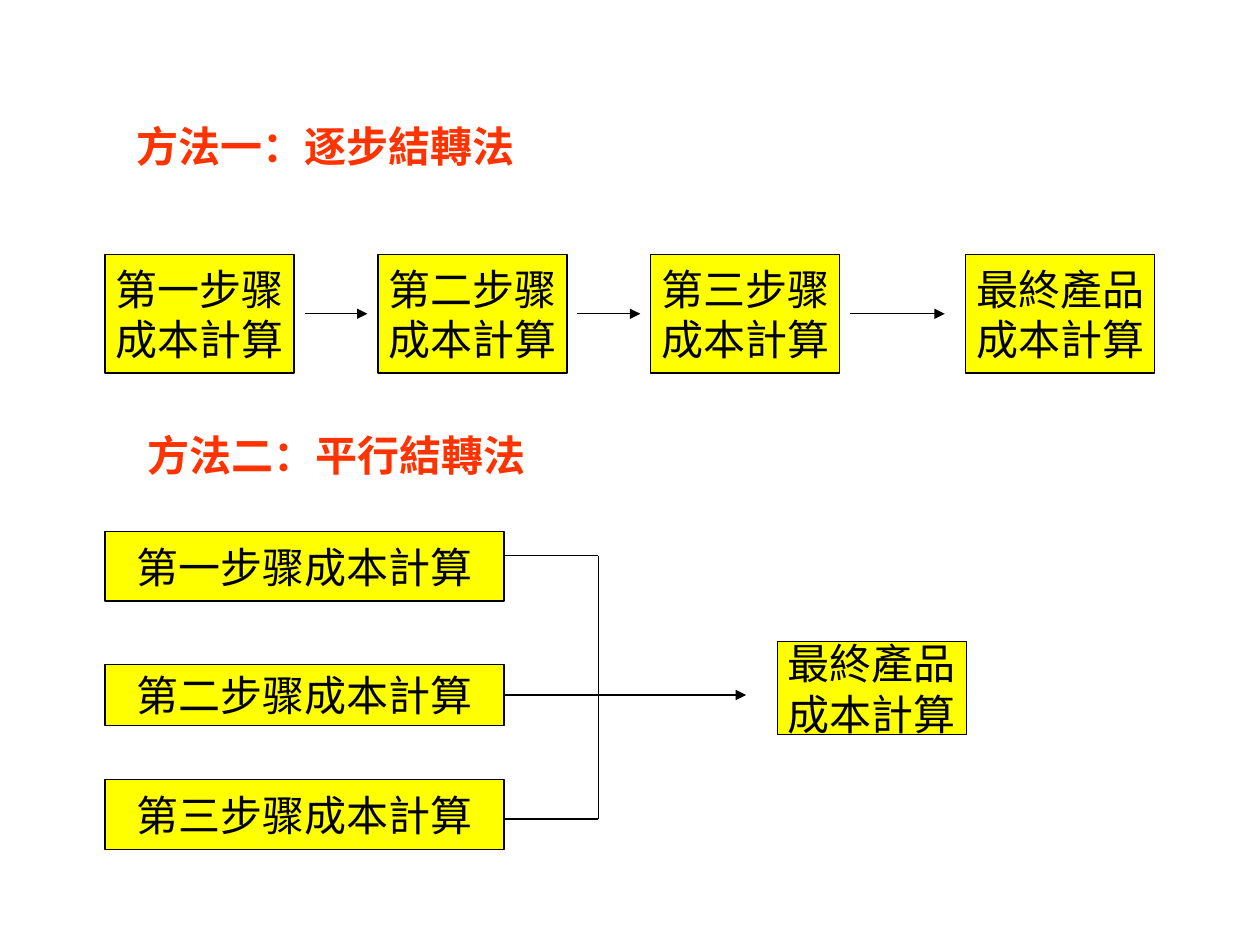
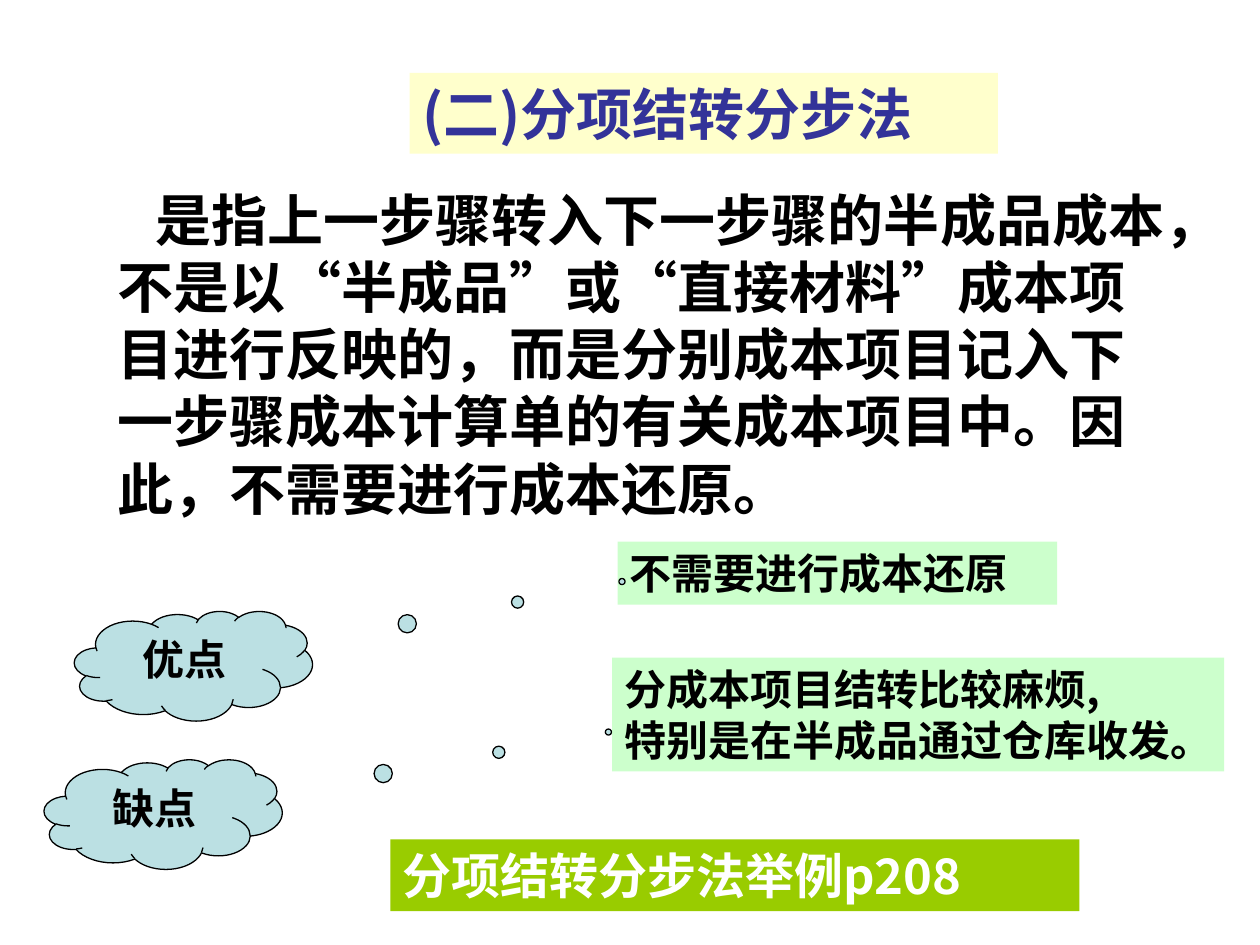
from dataclasses import dataclass

from lxml import etree
from pptx import Presentation
from pptx.dml.color import RGBColor
from pptx.enum.shapes import MSO_CONNECTOR, MSO_SHAPE
from pptx.enum.text import MSO_ANCHOR, PP_ALIGN
from pptx.oxml.ns import qn
from pptx.util import Cm, Pt

RECTANGLE, CLOUD = MSO_SHAPE.RECTANGLE, MSO_SHAPE.CLOUD_CALLOUT
STRAIGHT = MSO_CONNECTOR.STRAIGHT
TOP, MIDDLE = MSO_ANCHOR.TOP, MSO_ANCHOR.MIDDLE
LEFT, CENTER = PP_ALIGN.LEFT, PP_ALIGN.CENTER
RIGHT_SIDE = 3


@dataclass(frozen=True)
class Theme:
    ink: str = "000000"
    paper: str = "FFFFFF"
    heading: str = "FF3300"
    step: str = "FFFF00"
    title: str = "333399"
    title_band: str = "FFFFCC"
    remark: str = "CCFFCC"
    cloud: str = "BBE0E3"
    example: str = "99CC00"
    cjk: str = "Noto Sans CJK SC"
    serif: str = "Times New Roman"
    normal: int = 24
    medium: int = 28
    large: int = 32
    outline: float = 0.75


THEME = Theme()
BOLD = {"bold": True}
SERIF = {"bold": True, "name": THEME.serif}


def write(frame, text, size=THEME.normal, color=THEME.ink, align=LEFT,
          anchor=TOP, wrap=True, font=None):
    """Fill a text frame, one paragraph for each line of text."""
    frame.text = text
    layout = {"word_wrap": wrap, "vertical_anchor": anchor}
    for name, value in layout.items():
        setattr(frame, name, value)
    formats = {"name": THEME.cjk, "size": Pt(size), "bold": False, **(font or {})}
    for paragraph in frame.paragraphs:
        paragraph.alignment = align
        for run in paragraph.runs:
            for name, value in formats.items():
                setattr(run.font, name, value)
            run.font.color.rgb = RGBColor.from_string(color)
            east_asian = etree.SubElement(run._r.get_or_add_rPr(), qn("a:ea"))
            east_asian.set("typeface", THEME.cjk)


def add_panel(slide, box, fill, text, outlined=False, kind=RECTANGLE, **style):
    """Add a filled shape with text; box is left, top, width, height in cm."""
    panel = slide.shapes.add_shape(kind, *map(Cm, box))
    panel.shadow.inherit = False
    panel.fill.solid()
    panel.fill.fore_color.rgb = RGBColor.from_string(fill)
    if outlined:
        panel.line.color.rgb = RGBColor.from_string(THEME.ink)
        panel.line.width = Pt(THEME.outline)
    else:
        panel.line.fill.background()
    write(panel.text_frame, text, **style)
    return panel


def add_step(slide, box, text):
    return add_panel(slide, box, THEME.step, text, outlined=True,
                     align=CENTER, anchor=MIDDLE, wrap=False)


def add_line(slide, start, end, arrow=False):
    line = slide.shapes.add_connector(STRAIGHT, *map(Cm, (*start, *end)))
    line.line.color.rgb = RGBColor.from_string(THEME.ink)
    line.line.width = Pt(THEME.outline)
    if arrow:
        tail = etree.SubElement(line.line._get_or_add_ln(), qn("a:tailEnd"))
        tail.set("type", "triangle")
    etree.SubElement(line._element.spPr, qn("a:effectLst"))
    return line


def add_heading(slide, left, top, text):
    add_panel(slide, (left, top, 8.13, 1.27), THEME.paper, text,
              color=THEME.heading, wrap=False, font=SERIF)


def add_sequential_flow(slide, left, top):
    """Steps in a row, each handing its cost on to the next."""
    width, height, gap, last_gap = 3.81, 2.39, 1.69, 2.54
    stages = ["第一步骤", "第二步骤", "第三步骤", "最終產品"]
    gaps = [gap, gap, last_gap]
    middle = top + height / 2
    for index, stage in enumerate(stages):
        add_step(slide, (left, top, width, height), f"{stage}\n成本計算")
        left += width
        if index < len(gaps):
            start = left + 0.21
            add_line(slide, (start, middle),
                     (start + 0.75 * gaps[index], middle), arrow=True)
            left += gaps[index]


def add_parallel_flow(slide, left, top):
    """Steps in a column, joined by a bracket that leads to the product."""
    width = 8.04
    right, spine = left + width, left + 9.94
    add_step(slide, (left + 13.55, top + 2.21, 3.81, 1.88), "最終產品\n成本計算")
    rows = [("一", 0, 1.4), ("二", 2.67, 1.24), ("三", 5, 1.4)]
    steps = [add_step(slide, (left, top + offset, width, height),
                      f"第{number}步骤成本計算")
             for number, offset, height in rows]
    upper, lower = top + 0.48, top + 5.79
    for level in (upper, lower):
        add_line(slide, (right, level), (spine, level))
    add_line(slide, (spine, upper), (spine, lower))
    middle = top + 3.29
    arrow = add_line(slide, (right, middle), (left + 12.92, middle), arrow=True)
    arrow.begin_connect(steps[1], RIGHT_SIDE)


def add_definition(slide, box, text):
    definition = slide.shapes.add_textbox(*map(Cm, box))
    write(definition.text_frame, text, size=THEME.large, font=BOLD)
    properties = definition.text_frame.paragraphs[0]._p.get_or_add_pPr()
    properties.set("indent", str(Cm(0.77)))


def add_cloud(slide, left, top, text, pointer):
    cloud = add_panel(slide, (left, top, 4.8, 2.21), THEME.cloud, text,
                      outlined=True, kind=CLOUD, align=CENTER, font=SERIF)
    for index, value in enumerate(pointer):
        cloud.adjustments[index] = value


def add_pros_and_cons(slide, left, top):
    """Two remarks, with the clouds that point at them on top."""
    add_panel(slide, (left + 11.56, top, 8.86, 1.27), THEME.remark,
              "不需要进行成本还原", font=SERIF)
    add_panel(slide, (left + 11.45, top + 2.34, 12.34, 2.29), THEME.remark,
              "分成本项目结转比较麻烦,\n特别是在半成品通过仓库收发。",
              wrap=False, font=BOLD)
    add_cloud(slide, left + 0.61, top + 1.4, "优点", (1.8, -0.77))
    add_cloud(slide, left, top + 4.39, "缺点", (1.87, -0.75))


def build_methods_slide(slide):
    add_heading(slide, 2.51, 2.31, "方法一：逐步結轉法")
    add_sequential_flow(slide, 2.12, 5.13)
    add_heading(slide, 2.72, 8.53, "方法二：平行結轉法")
    add_parallel_flow(slide, 2.12, 10.72)


def build_itemized_slide(slide):
    add_definition(slide, (2.12, 3.61, 21.97, 7.04),
                   "是指上一步骤转入下一步骤的半成品成本，不是以“半成品”或“直接材料”"
                   "成本项目进行反映的，而是分别成本项目记入下一步骤成本计算单的有关"
                   "成本项目中。因此，不需要进行成本还原。")
    add_panel(slide, (8.26, 1.47, 11.86, 1.63), THEME.title_band,
              "(二)分项结转分步法", size=THEME.large, color=THEME.title, font=BOLD)
    add_pros_and_cons(slide, 0.89, 10.92)
    add_panel(slide, (7.87, 16.92, 13.89, 1.45), THEME.example,
              "分项结转分步法举例p208", size=THEME.medium, color=THEME.paper,
              font=BOLD)


def main():
    deck = Presentation()
    deck.slide_width, deck.slide_height = Cm(25.4), Cm(19.05)
    blank = deck.slide_layouts[6]
    for build in (build_methods_slide, build_itemized_slide):
        build(deck.slides.add_slide(blank))
    deck.save("out.pptx")


if __name__ == "__main__":
    main()
